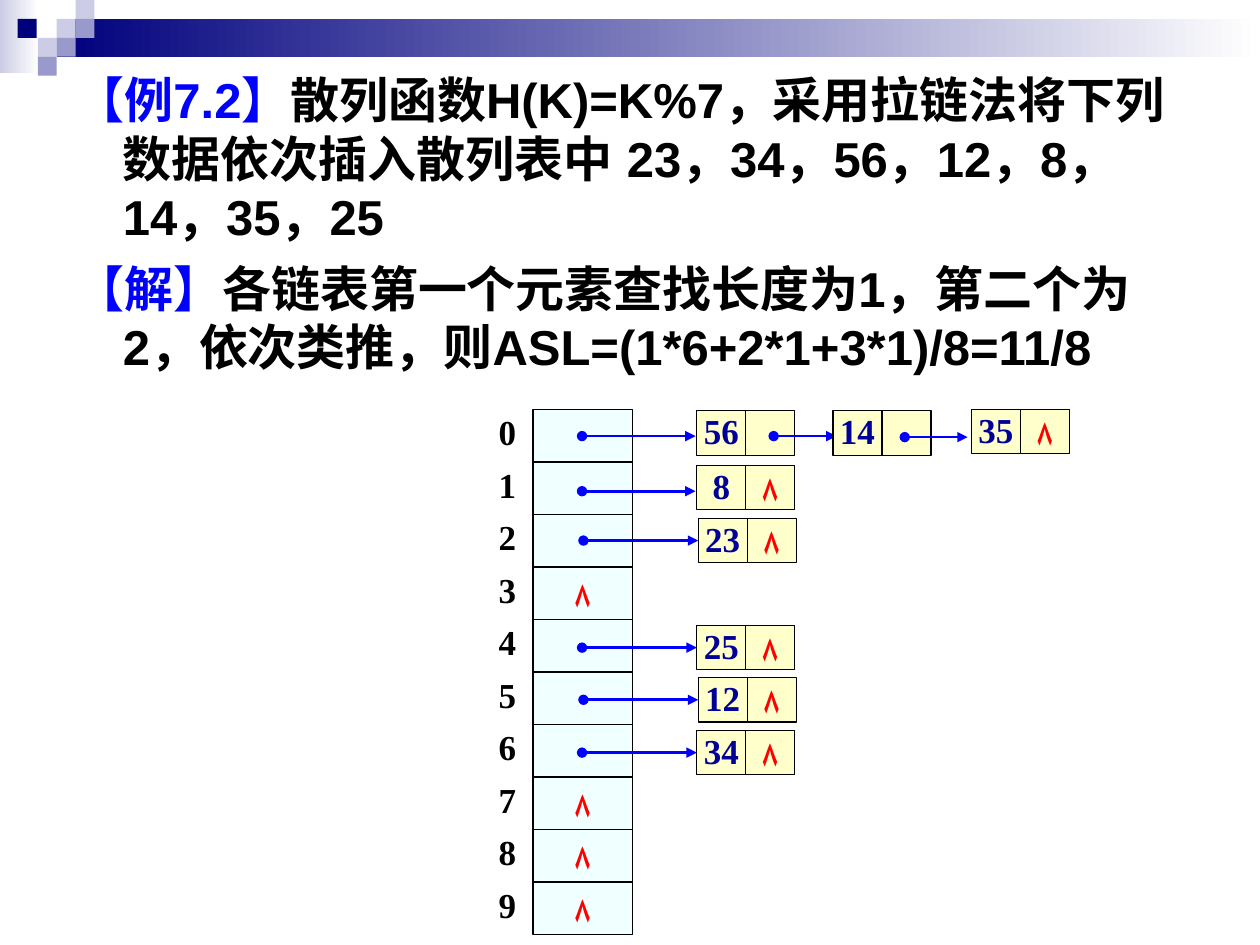
from dataclasses import dataclass
from typing import Optional

from lxml.etree import SubElement
from pptx import Presentation
from pptx.dml.color import RGBColor
from pptx.enum.shapes import MSO_CONNECTOR, MSO_SHAPE
from pptx.enum.text import MSO_ANCHOR, MSO_AUTO_SIZE, PP_ALIGN
from pptx.oxml.ns import qn
from pptx.shapes.autoshape import Shape
from pptx.shapes.connector import Connector
from pptx.slide import Slide
from pptx.util import Pt

COLORS = {
    "navy": "00007D", "lilac": "CCCCE6", "violet": "9999CC", "white": "FFFFFF",
    "black": "000000", "blue": "0000FF", "red": "FF0000", "number": "000099",
    "bucket": "F0FFFF", "node": "FFFFCC",
}
NULL_MARK = "۸"
TABLE_TOP, ROW_HEIGHT = 234, 30
BUCKET_LEFT, BUCKET_WIDTH = 304.5, 57
LABEL_LEFT, LABEL_WIDTH = 276, 28
NODE_WIDTH, NODE_HEIGHT = 28, 25.4
EMPTY_BUCKETS = (3, 7, 8, 9)
TAB_STOP = 367


@dataclass
class Band:
    left: float
    top: float
    width: float
    height: float
    color: str
    fades: bool = False


@dataclass
class Node:
    number: int
    left: float
    top: float
    arrow_start: float
    arrow_end: float
    arrow_y: float
    is_last: bool = True


@dataclass
class Passage:
    heading: str
    content: str
    space_before: float


BANDS = [
    Band(0, 0, 22.3, 41.8, "lilac", True),
    Band(32.4, 10.8, 687.6, 21.6, "navy", True),
    Band(32.4, 10.8, 10.8, 10.8, "lilac"),
    Band(43.2, 0, 10.8, 10.8, "lilac"),
    Band(43.2, 10.8, 10.8, 10.8, "violet"),
    Band(21.6, 21.6, 10.8, 10.8, "lilac"),
    Band(10.1, 10.8, 10.8, 10.8, "navy"),
    Band(32.4, 21.6, 10.8, 10.8, "violet"),
    Band(21.6, 32.4, 10.8, 10.8, "violet"),
]
NODES = [
    Node(56, 398.2, 234.8, 332.6, 397.5, 249.2, False),
    Node(14, 476, 234.8, 442.1, 478.1, 249.2, False),
    Node(35, 555.1, 234, 517, 553, 249.8),
    Node(8, 398.2, 265.9, 332.6, 397.5, 280.7),
    Node(23, 399, 296.2, 333.4, 399, 308.9),
    Node(25, 398.2, 357.4, 332.6, 398.2, 370.1),
    Node(12, 399, 387.2, 333.4, 399, 399.9),
    Node(34, 398.2, 417.4, 332.6, 398.2, 430.1),
]
PASSAGES = [
    Passage("【例7.2】", "散列函数H(K)=K%7，采用拉链法将下列数据依次插入散列表中\t"
            "23，34，56，12，8，14，35，25", 0),
    Passage("【解】", "各链表第一个元素查找长度为1，第二个为2，依次类推，"
            "则ASL=(1*6+2*1+3*1)/8=11/8", 7),
]


def rgb(name: str) -> RGBColor:
    return RGBColor.from_string(COLORS[name])


def draw_band(page: Slide, band: Band) -> None:
    box = page.shapes.add_shape(MSO_SHAPE.RECTANGLE, Pt(band.left), Pt(band.top),
                                Pt(band.width), Pt(band.height))
    box.shadow.inherit = False
    box.line.fill.background()
    if band.fades:
        box.fill.gradient()
        box.fill.gradient_angle = 0
        for stop, color, position in zip(box.fill.gradient_stops, (band.color, "white"), (0, 1)):
            stop.color.rgb = rgb(color)
            stop.position = position
    else:
        box.fill.solid()
        box.fill.fore_color.rgb = rgb(band.color)


def write_label(box: Shape, text: str, color: str, anchor: MSO_ANCHOR,
                top_margin: float = 0.7) -> None:
    frame = box.text_frame
    frame.word_wrap = False
    frame.auto_size = MSO_AUTO_SIZE.NONE
    frame.vertical_anchor = anchor
    frame.margin_left = frame.margin_right = Pt(7.2)
    frame.margin_top, frame.margin_bottom = Pt(top_margin), Pt(3.6)
    para = frame.paragraphs[0]
    para.text = text
    para.alignment = PP_ALIGN.CENTER
    para.font.name = "Times New Roman"
    para.font.size = Pt(20)
    para.font.bold = True
    para.font.color.rgb = rgb(color)


def draw_cell(page: Slide, left: float, top: float, width: float, height: float,
              color: str) -> Shape:
    box = page.shapes.add_shape(MSO_SHAPE.RECTANGLE, Pt(left), Pt(top), Pt(width), Pt(height))
    box.shadow.inherit = False
    box.fill.solid()
    box.fill.fore_color.rgb = rgb(color)
    box.line.color.rgb = rgb("black")
    box.line.width = Pt(0.75)
    return box


def draw_bucket(page: Slide, index: int) -> None:
    top = TABLE_TOP + index * ROW_HEIGHT
    label = page.shapes.add_textbox(Pt(LABEL_LEFT), Pt(top), Pt(LABEL_WIDTH), Pt(ROW_HEIGHT))
    write_label(label, str(index), "black", MSO_ANCHOR.TOP)
    cell = draw_cell(page, BUCKET_LEFT, top, BUCKET_WIDTH, ROW_HEIGHT, "bucket")
    if index in EMPTY_BUCKETS:
        write_label(cell, NULL_MARK, "red", MSO_ANCHOR.MIDDLE, 3.6)


def draw_arrow(page: Slide, start: float, end: float, y: float) -> Connector:
    arrow = page.shapes.add_connector(MSO_CONNECTOR.STRAIGHT, Pt(start), Pt(y), Pt(end), Pt(y))
    arrow.line.color.rgb = rgb("blue")
    arrow.line.width = Pt(1.5)
    properties = arrow._element.spPr
    outline = properties.find(qn("a:ln"))
    SubElement(outline, qn("a:headEnd"), type="oval")
    SubElement(outline, qn("a:tailEnd"), type="triangle")
    SubElement(properties, qn("a:effectLst"))
    return arrow


def draw_node(page: Slide, node: Node) -> None:
    arrow = draw_arrow(page, node.arrow_start, node.arrow_end, node.arrow_y)
    data = draw_cell(page, node.left, node.top, NODE_WIDTH, NODE_HEIGHT, "node")
    write_label(data, str(node.number), "number", MSO_ANCHOR.MIDDLE)
    link = draw_cell(page, node.left + NODE_WIDTH, node.top, NODE_WIDTH, NODE_HEIGHT, "node")
    if node.is_last:
        write_label(link, NULL_MARK, "red", MSO_ANCHOR.TOP)
    if node.arrow_end == node.left:
        arrow.end_connect(data, 1)


def write_passages(box: Shape, passages: list[Passage]) -> None:
    box.left, box.top, box.width, box.height = Pt(36), Pt(36), Pt(648), Pt(504)
    frame = box.text_frame
    frame.auto_size = MSO_AUTO_SIZE.NONE
    frame.word_wrap = True
    for index, passage in enumerate(passages):
        para = frame.add_paragraph() if index else frame.paragraphs[0]
        properties = para._p.get_or_add_pPr()
        properties.set("marL", str(Pt(27)))
        properties.set("indent", str(-Pt(27)))
        SubElement(properties, qn("a:buNone"))
        tabs = SubElement(properties, qn("a:tabLst"))
        SubElement(tabs, qn("a:tab"), pos=str(Pt(TAB_STOP)), algn="l")
        para.space_before = Pt(passage.space_before)
        para.font.name = "Arial"
        para.font.size = Pt(28)
        para.font.bold = True
        for text, color in ((passage.heading, "blue"), (passage.content, "black")):
            span = para.add_run()
            span.text = text
            span.font.color.rgb = rgb(color)


def main() -> None:
    deck = Presentation()
    deck.slide_width, deck.slide_height = Pt(720), Pt(540)
    page = deck.slides.add_slide(deck.slide_layouts[1])
    title: Optional[Shape] = page.shapes.title
    title._element.getparent().remove(title._element)
    write_passages(page.placeholders[1], PASSAGES)
    for band in BANDS:
        draw_band(page, band)
    for index in range(10):
        draw_bucket(page, index)
    for node in NODES:
        draw_node(page, node)
    deck.save("out.pptx")


if __name__ == "__main__":
    main()
